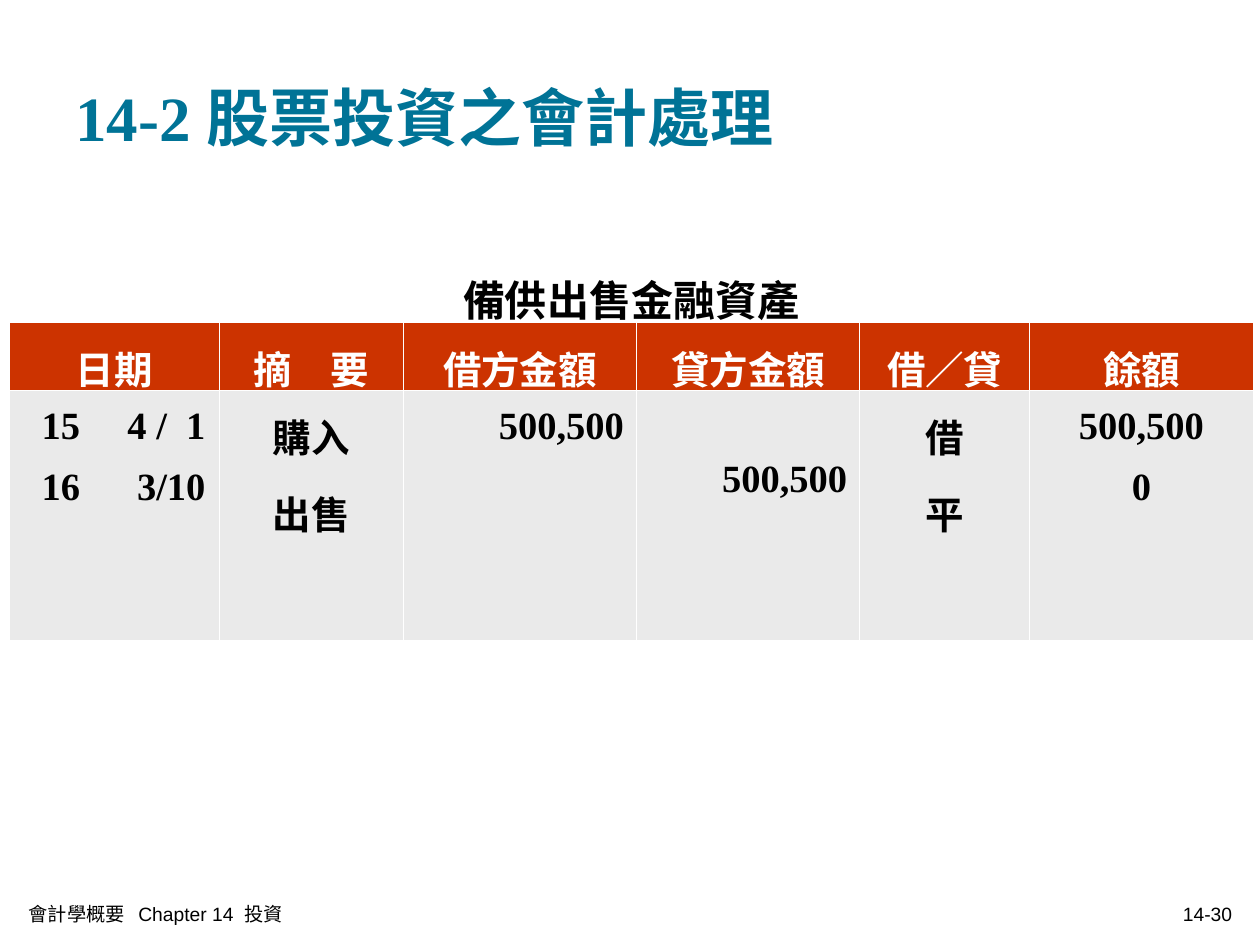
"""Build the slide showing the ledger account of available-for-sale financial assets."""
from lxml import etree
from pptx import Presentation
from pptx import util as u
from pptx.dml import color
from pptx.enum import text
from pptx.oxml import ns

THEME = {
    "teal": "007396", "red": "CC3300", "gray": "EAEAEA", "white": "FFFFFF", "black": "000000",
    "serif": "Times New Roman", "sans": "Arial", "cjk": "Noto Sans CJK TC",
    "title": 36, "caption": 24, "cell": 22, "footer": 11,
}
LEFT, CENTER, RIGHT = text.PP_ALIGN.LEFT, text.PP_ALIGN.CENTER, text.PP_ALIGN.RIGHT
LEDGER = {"line_spacing": 1.2, "space_before": u.Pt(5.5)}


def write(frame, lines, size, ink, face="serif", bold=True, **layout):
    frame.word_wrap = True
    for index, line in enumerate(lines):
        paragraph = frame.add_paragraph() if index else frame.paragraphs[0]
        for name, value in layout.items():
            setattr(paragraph, name, value)
        run = paragraph.add_run()
        run.text = line
        style = {"name": THEME[face], "size": u.Pt(THEME[size]), "bold": bold}
        for name, value in style.items():
            setattr(run.font, name, value)
        run.font.color.rgb = color.RGBColor.from_string(THEME[ink])
        east_asian = etree.SubElement(run.font._element, ns.qn("a:ea"))
        east_asian.set("typeface", THEME["cjk"])


def rule_cell(cell):
    properties = cell._tc.get_or_add_tcPr()
    for side in ("lnL", "lnR", "lnT", "lnB"):
        border = etree.SubElement(properties, ns.qn(f"a:{side}"), w=str(u.Pt(0.45)))
        solid = etree.SubElement(border, ns.qn("a:solidFill"))
        etree.SubElement(solid, ns.qn("a:srgbClr"), val=THEME["white"])


deck = Presentation()
deck.slide_width, deck.slide_height = u.Cm(25.4), u.Cm(19.05)
slide = deck.slides.add_slide(deck.slide_layouts[6])

labels = [
    ("14-2 股票投資之會計處理", (1.27, 0.76, 22.86, 3.18), LEFT,
     {"size": "title", "ink": "teal"}),
    ("會計學概要   Chapter 14  投資", (0.33, 18.01, 12.95, 0.84), LEFT,
     {"size": "footer", "ink": "black", "face": "sans", "bold": False}),
    ("14-30", (17.27, 18.01, 7.82, 0.84), RIGHT,
     {"size": "footer", "ink": "black", "face": "sans", "bold": False}),
]
for wording, place, alignment, style in labels:
    label = slide.shapes.add_textbox(*map(u.Cm, place)).text_frame
    label.vertical_anchor = text.MSO_ANCHOR.MIDDLE
    write(label, [wording], alignment=alignment, **style)

columns = [
    ("日期", ["15\t4 /  1", "16\t3/10"], LEFT, 4.24),
    ("摘　要", ["購入", "出售"], CENTER, 3.71),
    ("借方金額", ["500,500"], RIGHT, 4.7),
    ("貸方金額", ["500,500"], RIGHT, 4.5),
    ("借／貸", ["借", "平"], CENTER, 3.43),
    ("餘額", ["500,500", "0"], CENTER, 4.5),
]
row_heights = [1.47, 1.37, 5.03]
ledger = slide.shapes.add_table(
    len(row_heights), len(columns), u.Cm(0.18), u.Cm(5.03), u.Cm(25.08), u.Cm(7.87)).table
ledger.first_row = ledger.horz_banding = False
for row, height in zip(ledger.rows, row_heights):
    row.height = u.Cm(height)

for index, (heading, entries, alignment, width) in enumerate(columns):
    ledger.columns[index].width = u.Cm(width)
    caption, header, body = (ledger.cell(row, index) for row in range(3))
    for cell, fill in ((caption, None), (header, "red"), (body, "gray")):
        rule_cell(cell)
        if fill:
            cell.fill.solid()
            cell.fill.fore_color.rgb = color.RGBColor.from_string(THEME[fill])
        else:
            cell.fill.background()
    header.vertical_anchor = text.MSO_ANCHOR.MIDDLE
    write(header.text_frame, [heading], "cell", "white", alignment=CENTER, **LEDGER)
    write(body.text_frame, entries, "cell", "black", alignment=alignment, **LEDGER)

caption = ledger.cell(0, 0)
caption.merge(ledger.cell(0, len(columns) - 1))
caption.vertical_anchor = text.MSO_ANCHOR.MIDDLE
write(caption.text_frame, ["備供出售金融資產"], "caption", "black",
      alignment=CENTER, line_spacing=1.2, space_before=u.Pt(6))

dates, credit = ledger.cell(2, 0), ledger.cell(2, 3)
dates.margin_left = u.Cm(0.66)
credit.margin_top = u.Cm(1.19)
for paragraph in dates.text_frame.paragraphs:
    stops = etree.SubElement(paragraph._p.get_or_add_pPr(), ns.qn("a:tabLst"))
    etree.SubElement(stops, ns.qn("a:tab"), pos=str(u.Cm(3.3)), algn="r")

deck.save("out.pptx")
